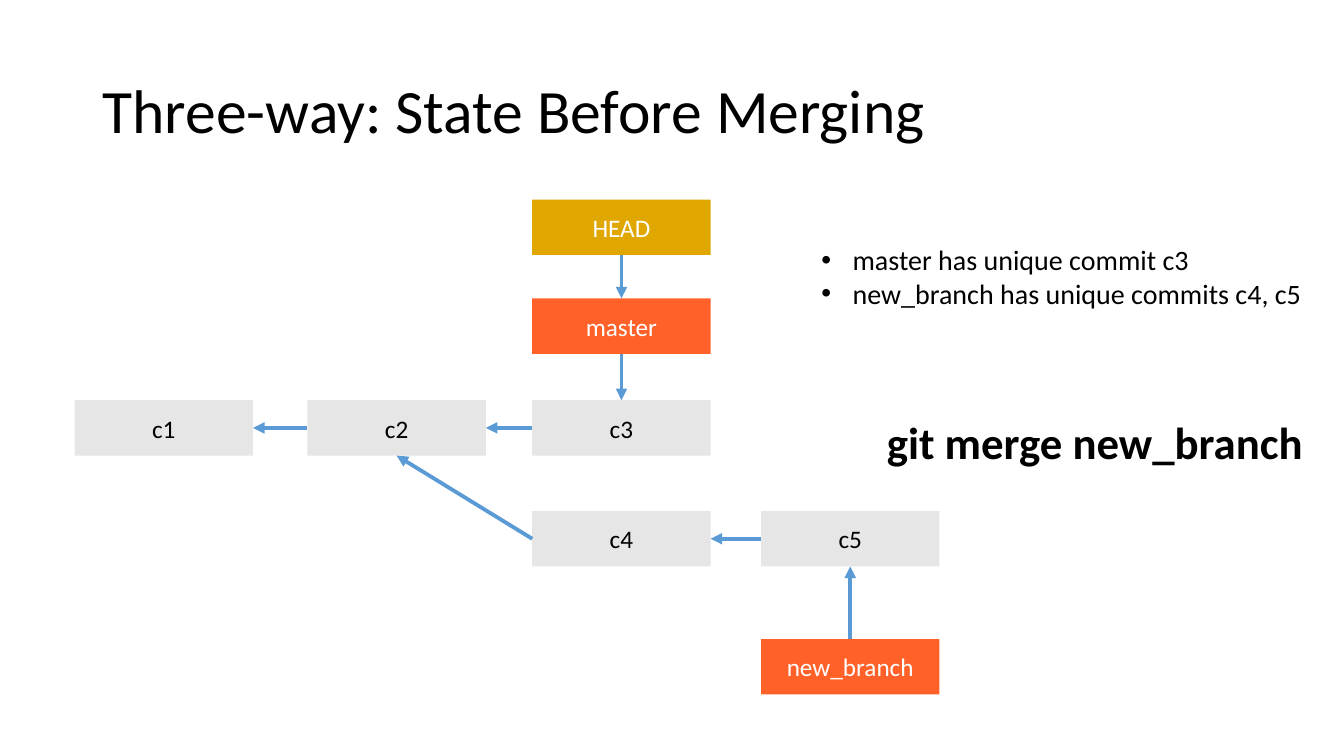
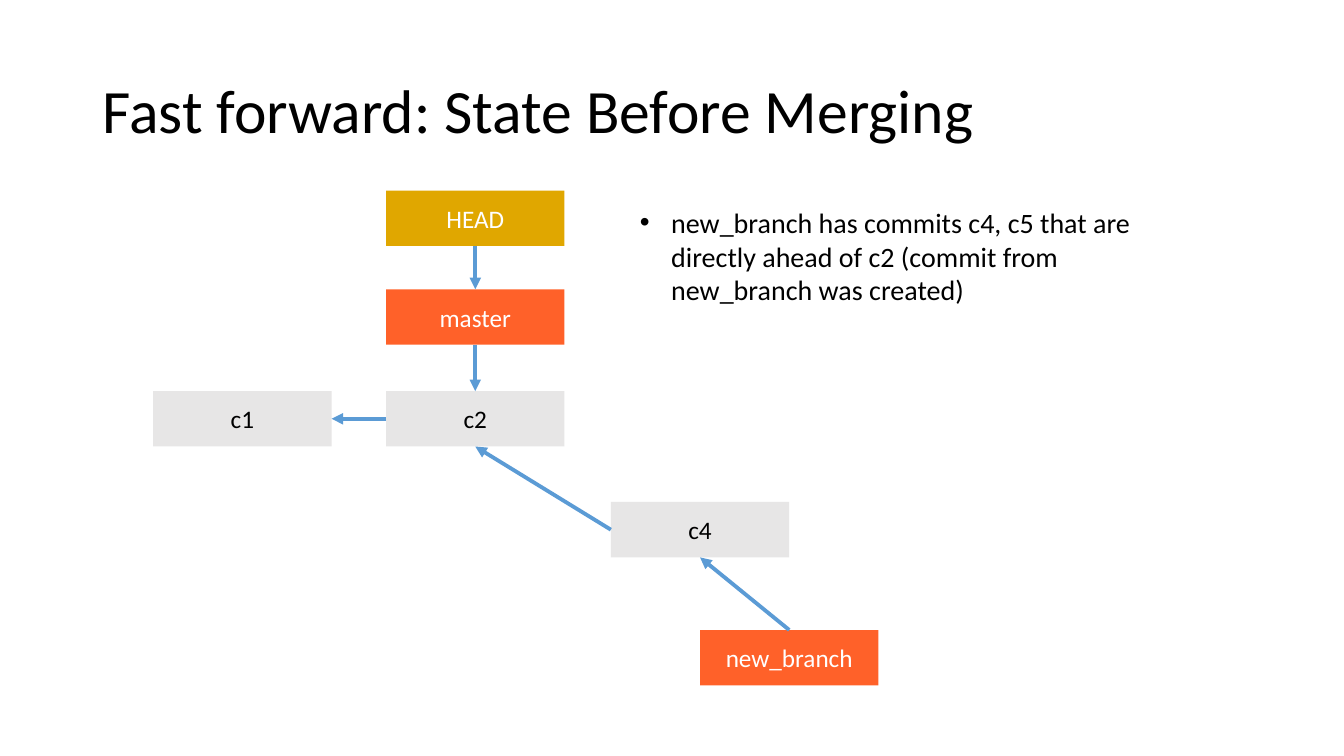
from dataclasses import dataclass

from lxml import etree
from pptx import Presentation
from pptx.dml.color import RGBColor
from pptx.enum.shapes import MSO_CONNECTOR, MSO_SHAPE
from pptx.enum.text import MSO_ANCHOR, MSO_AUTO_SIZE, PP_ALIGN
from pptx.oxml.ns import qn
from pptx.util import Inches, Pt

RECT = MSO_SHAPE.RECTANGLE
STRAIGHT = MSO_CONNECTOR.STRAIGHT
MIDDLE = MSO_ANCHOR.MIDDLE
CENTER = PP_ALIGN.CENTER
GROW = MSO_AUTO_SIZE.SHAPE_TO_FIT_TEXT
TOP, LEFT, BOTTOM, RIGHT = range(4)


@dataclass(frozen=True)
class Theme:
    """Colours, type sizes and grid measures of the deck."""
    font: str = "Calibri"
    black: str = "000000"
    white: str = "FFFFFF"
    commit: str = "E7E6E6"
    branch: str = "FF6129"
    head: str = "E0A700"
    arrow: str = "5B9BD5"
    title_size: int = 44
    command_size: int = 32
    note_size: int = 20
    box_size: int = 18
    arrow_width: float = 2.75
    cell: float = 0.1
    columns: float = 133.33
    rows: float = 75
    box: tuple = (17.7, 5.5)
    indent: float = 3.1
    lanes: tuple = (0, 9.8, 19.9, 30.9, 43.6)
    stops: tuple = (0, 23.1, 45.4, 68.1)


class Deck:
    """Draws styled elements on the current slide, measured in grid cells."""

    def __init__(self, theme):
        """Start an empty deck with the size of the theme's grid."""
        self.t = theme
        self.prs = Presentation()
        self.prs.slide_width = self.cells(theme.columns)
        self.prs.slide_height = self.cells(theme.rows)
        self.s = None

    def cells(self, n):
        """Turn a number of grid cells into a length."""
        return Inches(n * self.t.cell)

    def styled_run(self, p, text, size, color, bold=False):
        """Add a styled run to a paragraph."""
        r = p.add_run()
        r.text = text
        style = {"name": self.t.font, "size": Pt(size), "bold": bold}
        for key, value in style.items():
            setattr(r.font, key, value)
        r.font.color.rgb = RGBColor.from_string(color)

    def text_box(self, at, **settings):
        """Add a text box and return its frame."""
        tf = self.s.shapes.add_textbox(*map(self.cells, at)).text_frame
        for key, value in settings.items():
            setattr(tf, key, value)
        return tf

    def slide(self, title):
        """Open a new slide with its title."""
        self.s = self.prs.slides.add_slide(self.prs.slide_layouts[6])
        tf = self.text_box((9.2, 4, 115, 14.5), word_wrap=True,
                           vertical_anchor=MIDDLE)
        p = tf.paragraphs[0]
        p.line_spacing = 0.9
        self.styled_run(p, title, self.t.title_size, self.t.black)

    def notes(self, at, lines, wrap):
        """Add a bulleted list."""
        tf = self.text_box(at, word_wrap=wrap, auto_size=GROW)
        indent = self.cells(self.t.indent)
        for i, line in enumerate(lines):
            p = tf.add_paragraph() if i else tf.paragraphs[0]
            pPr = p._p.get_or_add_pPr()
            pPr.set("marL", str(indent))
            pPr.set("indent", str(-indent))
            etree.SubElement(pPr, qn("a:buFont"), typeface="Arial")
            etree.SubElement(pPr, qn("a:buChar"), char="•")
            self.styled_run(p, line, self.t.note_size, self.t.black)

    def command(self, at, text):
        """Add a bold command line."""
        tf = self.text_box(at, word_wrap=False, auto_size=GROW)
        self.styled_run(tf.paragraphs[0], text, self.t.command_size,
                        self.t.black, bold=True)

    def box(self, x, y, text, fill, color):
        """Add a labelled rectangle."""
        at = map(self.cells, (x, y, *self.t.box))
        sp = self.s.shapes.add_shape(RECT, *at)
        sp.shadow.inherit = False
        sp.fill.solid()
        sp.fill.fore_color.rgb = RGBColor.from_string(fill)
        sp.line.fill.background()
        sp.text_frame.vertical_anchor = MIDDLE
        p = sp.text_frame.paragraphs[0]
        p.alignment = CENTER
        self.styled_run(p, text, self.t.box_size, color)
        return sp

    def arrow(self, start, start_side, end, end_side):
        """Join two boxes with an arrow."""
        cxn = self.s.shapes.add_connector(STRAIGHT, 0, 0, 0, 0)
        cxn.begin_connect(start, start_side)
        cxn.end_connect(end, end_side)
        cxn.line.color.rgb = RGBColor.from_string(self.t.arrow)
        cxn.line.width = Pt(self.t.arrow_width)
        spPr = cxn._element.spPr
        etree.SubElement(spPr.find(qn("a:ln")), qn("a:tailEnd"),
                         type="triangle")
        etree.SubElement(spPr, qn("a:effectLst"))

    def graph(self, left, top, places, arrows):
        """Draw a commit graph from box places and the arrows between them."""
        t = self.t
        styles = {"HEAD": (t.head, t.white), "master": (t.branch, t.white),
                  "new_branch": (t.branch, t.white)}
        boxes = {}
        for name, (x, lane) in places.items():
            style = styles.get(name, (t.commit, t.black))
            boxes[name] = self.box(left + x, top + t.lanes[lane], name, *style)
        for start, start_side, end, end_side in arrows:
            self.arrow(boxes[start], start_side, boxes[end], end_side)


def main():
    """Build and save both slides."""
    theme = Theme()
    deck = Deck(theme)
    first, second, third, fourth = theme.stops
    shared = [("HEAD", BOTTOM, "master", TOP), ("c2", LEFT, "c1", RIGHT),
              ("c4", LEFT, "c2", BOTTOM)]

    deck.slide("Three-way: State Before Merging")
    deck.graph(7.4, 19.8,
               {"HEAD": (third, 0), "master": (third, 1),
                "c1": (first, 2), "c2": (second, 2), "c3": (third, 2),
                "c4": (third, 3), "c5": (fourth, 3),
                "new_branch": (fourth, 4)},
               shared + [("master", BOTTOM, "c3", TOP),
                         ("c3", LEFT, "c2", RIGHT),
                         ("c5", LEFT, "c4", RIGHT),
                         ("new_branch", TOP, "c5", BOTTOM)])
    deck.notes((80.5, 23.6, 50.1, 7.7),
               ["master has unique commit c3",
                "new_branch has unique commits c4, c5"], wrap=False)
    deck.command((87, 40.7, 43.7, 6.4), "git merge new_branch")

    deck.slide("Fast forward: State Before Merging")
    deck.graph(15.2, 18.9,
               {"HEAD": (second, 0), "master": (second, 1),
                "c1": (first, 2), "c2": (second, 2), "c4": (third, 3),
                "new_branch": (third + theme.box[0] / 2, 4)},
               shared + [("master", BOTTOM, "c2", TOP),
                         ("new_branch", TOP, "c4", BOTTOM)])
    deck.notes((62.5, 19.9, 56.9, 11.1),
               ["new_branch has commits c4, c5 that are directly ahead of c2 "
                "(commit from new_branch was created)"], wrap=True)

    deck.prs.save("out.pptx")


if __name__ == "__main__":
    main()
